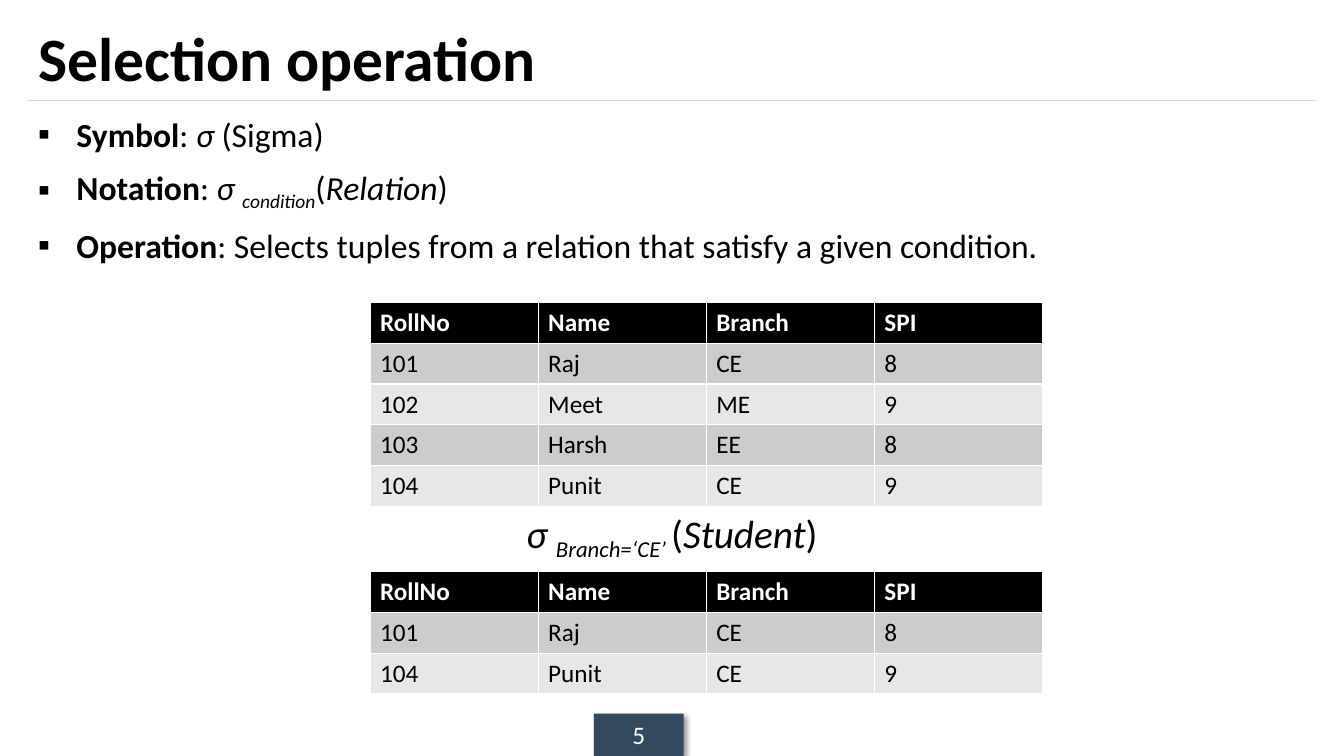
from lxml import etree
from pptx import Presentation
from pptx.dml.color import RGBColor
from pptx.enum.shapes import MSO_CONNECTOR, MSO_SHAPE
from pptx.enum.text import MSO_ANCHOR, PP_ALIGN
from pptx.oxml import parse_xml
from pptx.oxml.ns import nsdecls, qn
from pptx.util import Inches, Pt

BLACK = RGBColor(0x00, 0x00, 0x00)
WHITE = RGBColor(0xFF, 0xFF, 0xFF)
RULE_GRAY = RGBColor(0xD9, 0xD9, 0xD9)
NAVY = RGBColor(0x34, 0x49, 0x5E)
BANDS = (RGBColor(0xCC, 0xCC, 0xCC), RGBColor(0xE7, 0xE7, 0xE7))

LEFT, CENTER, JUSTIFY = PP_ALIGN.LEFT, PP_ALIGN.CENTER, PP_ALIGN.JUSTIFY
TOP, MIDDLE = MSO_ANCHOR.TOP, MSO_ANCHOR.MIDDLE
RECTANGLE, STRAIGHT = MSO_SHAPE.RECTANGLE, MSO_CONNECTOR.STRAIGHT

SHADOW = (
    f'<a:effectLst {nsdecls("a")}>'
    '<a:outerShdw blurRad="50800" dist="38100" dir="2700000" algn="tl" rotWithShape="0">'
    '<a:srgbClr val="000000"><a:alpha val="40000"/></a:srgbClr>'
    '</a:outerShdw></a:effectLst>'
)

MARGIN, CONTENT_WIDTH = 0.28, 12.78
TABLE_LEFT, TABLE_WIDTH, ROW_HEIGHT = 3.67, 6.67, 0.405


class SlideBuilder:
    font_name = "Calibri"

    def __init__(self, slide):
        self.slide = slide

    def add_runs(self, paragraph, runs, size, color=BLACK):
        for text, style in runs:
            run = paragraph.add_run()
            run.text = text
            run.font.name = self.font_name
            run.font.size = Pt(size)
            run.font.color.rgb = color
            run.font.bold = "bold" in style
            run.font.italic = "italic" in style
            if "subscript" in style:
                run._r.get_or_add_rPr().set("baseline", "-25000")

    def text(self, left, top, width, height, runs, size, align=LEFT, anchor=TOP):
        box = self.slide.shapes.add_textbox(
            Inches(left), Inches(top), Inches(width), Inches(height))
        frame = box.text_frame
        frame.word_wrap = True
        frame.vertical_anchor = anchor
        frame.paragraphs[0].alignment = align
        self.add_runs(frame.paragraphs[0], runs, size)
        return frame

    def bullets(self, left, top, width, height, items, size):
        frame = self.text(left, top, width, height, [], size)
        for index, (align, runs) in enumerate(items):
            paragraph = frame.add_paragraph() if index else frame.paragraphs[0]
            paragraph.alignment = align
            paragraph.space_before = Pt(9)
            properties = paragraph._p.get_or_add_pPr()
            properties.set("marL", str(Inches(0.38)))
            properties.set("indent", str(-Inches(0.38)))
            etree.SubElement(properties, qn("a:buFont")).set("typeface", self.font_name)
            etree.SubElement(properties, qn("a:buChar")).set("char", "▪")
            self.add_runs(paragraph, runs, size)

    def rule(self, left, top, width):
        line = self.slide.shapes.add_connector(
            STRAIGHT, Inches(left), Inches(top), Inches(left + width), Inches(top))
        line.line.color.rgb = RULE_GRAY
        line.line.width = Pt(0.75)
        etree.SubElement(line._element.spPr, qn("a:effectLst"))

    def page_number(self, left, top, width, height, number):
        shape = self.slide.shapes.add_shape(
            RECTANGLE, Inches(left), Inches(top), Inches(width), Inches(height))
        shape.fill.solid()
        shape.fill.fore_color.rgb = NAVY
        shape.line.fill.background()
        shape._element.spPr.append(parse_xml(SHADOW))
        shape.text_frame.vertical_anchor = MIDDLE
        paragraph = shape.text_frame.paragraphs[0]
        paragraph.alignment = CENTER
        self.add_runs(paragraph, [(number, "")], 18, WHITE)

    def table(self, left, top, width, rows):
        table = self.slide.shapes.add_table(
            len(rows), len(rows[0]), Inches(left), Inches(top),
            Inches(width), Inches(ROW_HEIGHT * len(rows))).table
        for row_index, values in enumerate(rows):
            is_header = row_index == 0
            fill = BLACK if is_header else BANDS[(row_index - 1) % 2]
            color = WHITE if is_header else BLACK
            style = "bold" if is_header else ""
            for column_index, value in enumerate(values):
                cell = table.cell(row_index, column_index)
                cell.fill.solid()
                cell.fill.fore_color.rgb = fill
                self.add_runs(cell.text_frame.paragraphs[0], [(value, style)], 18, color)


def selection(condition, relation):
    return [("σ ", "italic"), (condition, "italic subscript"),
            ("(", ""), (relation, "italic"), (")", "")]


presentation = Presentation()
presentation.slide_width = Inches(13.33)
presentation.slide_height = Inches(7.5)
builder = SlideBuilder(presentation.slides.add_slide(presentation.slide_layouts[6]))

builder.rule(MARGIN, 1, CONTENT_WIDTH)
builder.page_number(5.89, 7.08, 0.89, 0.42, "5")
builder.text(MARGIN, 0.12, CONTENT_WIDTH, 0.88,
             [("Selection operation", "bold")], 44, anchor=MIDDLE)

builder.bullets(MARGIN, 1.08, CONTENT_WIDTH, 5.83, [
    (LEFT, [("Symbol", "bold"), (": ", ""), ("σ ", "italic"), ("(Sigma)", "")]),
    (LEFT, [("Notation", "bold"), (": ", ""), *selection("condition", "Relation")]),
    (JUSTIFY, [("Operation", "bold"),
               (": Selects tuples from a relation that satisfy a given condition.", "")]),
], 24)

builder.text(3.25, 5, 6.83, 0.57, selection("Branch=‘CE’ ", "Student"), 28, CENTER)

header = ("RollNo", "Name", "Branch", "SPI")
students = [
    ("101", "Raj", "CE", "8"),
    ("102", "Meet", "ME", "9"),
    ("103", "Harsh", "EE", "8"),
    ("104", "Punit", "CE", "9"),
]
selected = [student for student in students if student[2] == "CE"]
for top, body in ((3, students), (5.67, selected)):
    builder.table(TABLE_LEFT, top, TABLE_WIDTH, [header, *body])

presentation.save("out.pptx")
